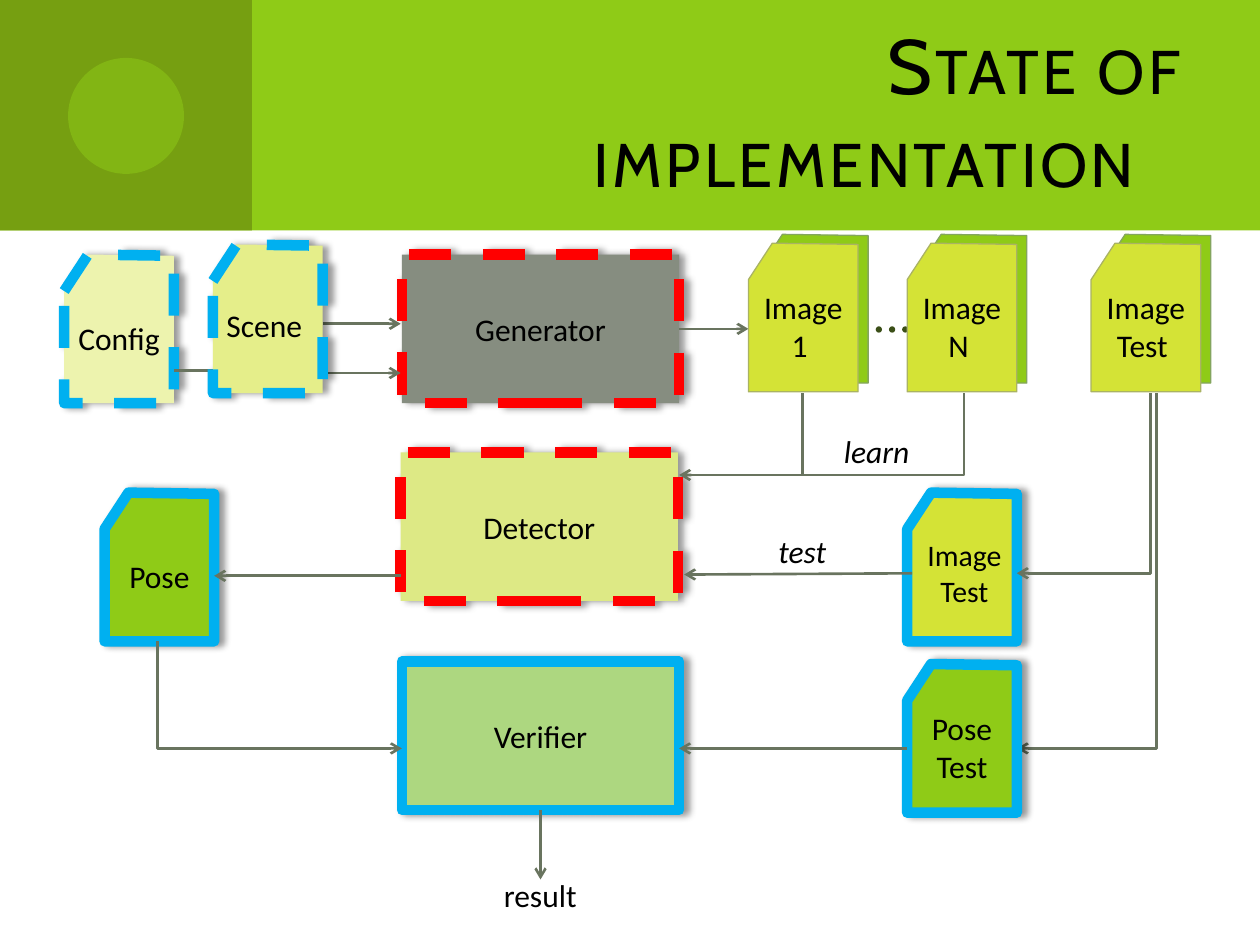
from dataclasses import dataclass

import pptx
import pptx.dml.color
import pptx.enum.dml
import pptx.enum.shapes
import pptx.enum.text
import pptx.oxml
import pptx.oxml.ns
import pptx.util
from pptx.util import Inches

SHAPE = pptx.enum.shapes.MSO_SHAPE
WIRE = pptx.enum.shapes.MSO_CONNECTOR
ALIGN = pptx.enum.text.PP_ALIGN
NS = pptx.oxml.ns.nsdecls("a")


@dataclass(frozen=True)
class Theme:
    ink: str = "000000"
    green: str = "8FCB17"
    moss: str = "769F11"
    lime: str = "D4E336"
    cream: str = "EDF3AE"
    straw: str = "E5EE8A"
    pear: str = "DDE985"
    mint: str = "ADD780"
    gray: str = "868D80"
    blue: str = "00B0F0"
    red: str = "FF0000"
    wire: str = "69745F"
    dot: str = "3B4F18"
    back: str = "84A55E"
    front: str = "AAB363"
    head: str = "Cabin"
    body: str = "Calibri"
    title: int = 44
    text: int = 18
    small: int = 17
    bold: int = 6
    mid: float = 1.5
    thin: float = 0.75


T = Theme()


@dataclass(frozen=True)
class Box:
    x: float
    y: float
    w: float
    h: float

    def sub(self, x, y, w, h):
        return Box(self.x + x, self.y + y, w, h)

    def dot(self, x, y):
        return self.x + x, self.y + y

    def size(self):
        return [Inches(v) for v in (self.x, self.y, self.w, self.h)]


def rgb(code):
    return pptx.dml.color.RGBColor.from_string(code)


def style(shape, fill, line=None, width=0, dash=False, shade=False):
    shape.shadow.inherit = False
    shape.fill.solid()
    shape.fill.fore_color.rgb = rgb(fill)
    if line:
        shape.line.color.rgb = rgb(line)
        shape.line.width = pptx.util.Pt(width)
        if dash:
            shape.line.dash_style = pptx.enum.dml.MSO_LINE.DASH
    else:
        shape.line.fill.background()
    if shade:
        effects = shape._element.spPr.find(pptx.oxml.ns.qn("a:effectLst"))
        effects.append(pptx.oxml.parse_xml(
            f'<a:outerShdw {NS} blurRad="50800" dist="38100" dir="0">'
            '<a:srgbClr val="000000"><a:alpha val="40000"/></a:srgbClr></a:outerShdw>'))


def write(shape, text, size=T.text, align=ALIGN.CENTER, italic=False, font=T.body):
    para = shape.text_frame.paragraphs[0]
    para.alignment = align
    for i, part in enumerate(text.split("\n")):
        if i:
            para.add_line_break()
        run = para.add_run()
        run.text = part
        run.font.name = font
        run.font.size = pptx.util.Pt(size)
        run.font.color.rgb = rgb(T.ink)
        if italic:
            run.font.italic = True
    return run


def plain(slide, kind, box, fill, **look):
    shape = slide.shapes.add_shape(kind, *box.size())
    style(shape, fill, **look)
    return shape


def block(slide, box, text, fill, line, dash=False):
    shape = plain(slide, SHAPE.RECTANGLE, box, fill, line=line, width=T.bold, dash=dash, shade=True)
    shape.text_frame.vertical_anchor = pptx.enum.text.MSO_ANCHOR.MIDDLE
    write(shape, text)
    return shape


def label(slide, box, text, wrap=True, **look):
    shape = slide.shapes.add_textbox(*box.size())
    shape.text_frame.word_wrap = wrap
    write(shape, text, **look)


def sheet(slide, box, fill, line=T.blue, width=T.bold, dash=False, shade=True):
    pts = [tuple(Inches(v) for v in box.dot(*p)) for p in
           ((0, 0.29), (0.19, 0), (box.w, 0.01), (box.w, box.h), (0, box.h))]
    pen = slide.shapes.build_freeform(*pts[0])
    pen.add_line_segments(pts[1:], close=True)
    style(pen.convert_to_shape(), fill, line, width, dash, shade)


def stack(slide, box, text):
    sheet(slide, box.sub(0.08, 0, 0.87, 1.18), T.green, T.back, T.thin, shade=False)
    sheet(slide, box.sub(0, 0.07, 0.87, 1.18), T.lime, T.front, T.thin, shade=False)
    label(slide, box.sub(0, 0.38, 0.87, 0.71), text)


def wire(slide, start, end, kind=WIRE.STRAIGHT, arrow="tailEnd"):
    line = slide.shapes.add_connector(kind, *(Inches(v) for v in (*start, *end)))
    line.line.color.rgb = rgb(T.wire)
    line.line.width = pptx.util.Pt(T.mid)
    if arrow:
        line.line._get_or_add_ln().append(
            pptx.oxml.parse_xml(f'<a:{arrow} {NS} type="arrow"/>'))
    line._element.spPr.append(pptx.oxml.parse_xml(f"<a:effectLst {NS}/>"))
    return line


def corner(slide, tip, root, arrow="headEnd"):
    line = wire(slide, tip, root, WIRE.ELBOW, arrow)
    line._element.spPr.prstGeom.set("prst", "bentConnector2")


def header(slide, box):
    plain(slide, SHAPE.RECTANGLE, box, T.green)
    plain(slide, SHAPE.RECTANGLE, box.sub(0, 0, 2, box.h), T.moss)
    disc = plain(slide, SHAPE.OVAL, box.sub(0.54, 0.46, 0.92, 0.92), T.green)
    tint = disc.fill._xPr.find(".//" + pptx.oxml.ns.qn("a:srgbClr"))
    tint.append(pptx.oxml.parse_xml(f'<a:alpha {NS} val="50000"/>'))
    title = slide.shapes.title
    slide.shapes._spTree.append(title._element)
    title.left, title.top, title.width, title.height = box.sub(2.67, 0.25, 6.83, 1.25).size()
    title.text_frame.auto_size = pptx.enum.text.MSO_AUTO_SIZE.NONE
    title.text_frame.vertical_anchor = pptx.enum.text.MSO_ANCHOR.MIDDLE
    run = write(title, "State of implementation", T.title, ALIGN.RIGHT, font=T.head)
    run.font._element.set("spc", "200")
    run.font._element.set("cap", "small")


def make(slide, box):
    sheet(slide, box.sub(0, 0.16, 0.87, 1.18), T.cream, dash=True)
    label(slide, box.sub(0, 0.62, 0.87, 0.4), "Config ")
    maker = block(slide, box.sub(2.68, 0.16, 2.2, 1.18), "Generator", T.gray, T.red, True)
    wire(slide, box.dot(2.05, 0.71), box.dot(2.67, 0.71))
    wire(slide, box.dot(0.87, 1.08), box.dot(2.67, 1.1), WIRE.ELBOW)
    sheet(slide, box.sub(1.18, 0.08, 0.87, 1.18), T.straw, dash=True)
    label(slide, box.sub(1.18, 0.52, 0.87, 0.4), "Scene ")
    return maker


def detect(slide, box):
    block(slide, box.sub(2.35, 0.47, 2.2, 1.18), "Detector", T.pear, T.red, True)
    corner(slide, box.dot(4.56, 0.65), box.dot(5.54, 0))
    corner(slide, box.dot(4.73, 0.65), box.dot(6.82, 0), None)
    label(slide, box.sub(5.77, 0.26, 0.74, 0.4), "learn", align=ALIGN.LEFT, italic=True)
    sheet(slide, box.sub(6.37, 0.79, 0.87, 1.18), T.lime)
    label(slide, box.sub(6.41, 1.09, 0.83, 0.67), "Image\nTest", size=T.small)
    wire(slide, box.dot(6.41, 1.43), box.dot(4.6, 1.44))
    label(slide, box.sub(5.25, 1.05, 0.59, 0.4), "test", False, align=ALIGN.LEFT, italic=True)
    sheet(slide, box.sub(0, 0.79, 0.87, 1.18), T.green)
    tag = plain(slide, SHAPE.RECTANGLE, box.sub(0.08, 1.25, 0.71, 0.4), T.green)
    write(tag, "Pose")
    wire(slide, box.dot(2.35, 1.45), box.dot(0.87, 1.45))
    corner(slide, box.dot(7.24, 1.43), box.dot(8.3, 0))


def verify(slide, box, top):
    judge = block(slide, box.sub(2.36, 0.16, 2.2, 1.18), "Verifier", T.mint, T.blue)
    corner(slide, box.dot(7.24, 0.85), (box.x + 8.35, top))
    sheet(slide, box.sub(6.37, 0.18, 0.87, 1.18), T.green)
    label(slide, box.sub(6.37, 0.49, 0.87, 0.71), "Pose Test")
    corner(slide, box.dot(2.36, 0.85), box.dot(0.42, 0))
    wire(slide, box.dot(6.37, 0.85), box.dot(4.56, 0.85))
    wire(slide, box.dot(3.46, 1.34), box.dot(3.46, 1.89)).begin_connect(judge, 2)
    label(slide, box.sub(3.07, 1.81, 0.79, 0.4), "result", False, align=ALIGN.LEFT)


def images(slide, box, maker):
    wire(slide, box.dot(-0.55, 0.75), box.dot(0, 0.75)).begin_connect(maker, 3)
    for i in range(3):
        plain(slide, SHAPE.OVAL, box.sub(1.01 + 0.105 * i, 0.73, 0.05, 0.05), T.dot)
    for x, text in ((0, "Image\n1 "), (1.26, "Image\nN "), (2.72, "Image\nTest ")):
        stack(slide, box.sub(x, 0, 0.95, box.h), text)


def main():
    deck = pptx.Presentation()
    deck.slide_width, deck.slide_height = Inches(10), Inches(7.5)
    slide = deck.slides.add_slide(deck.slide_layouts[5])
    header(slide, Box(0, 0, 10, 1.83))
    maker = make(slide, Box(0.51, 1.86, 4.88, 1.34))
    detect(slide, Box(0.83, 3.12, 8.3, 1.97))
    verify(slide, Box(0.83, 5.09, 8.35, 2.21), 3.12)
    images(slide, Box(5.94, 1.86, 3.67, 1.25), maker)
    deck.save("out.pptx")


if __name__ == "__main__":
    main()
